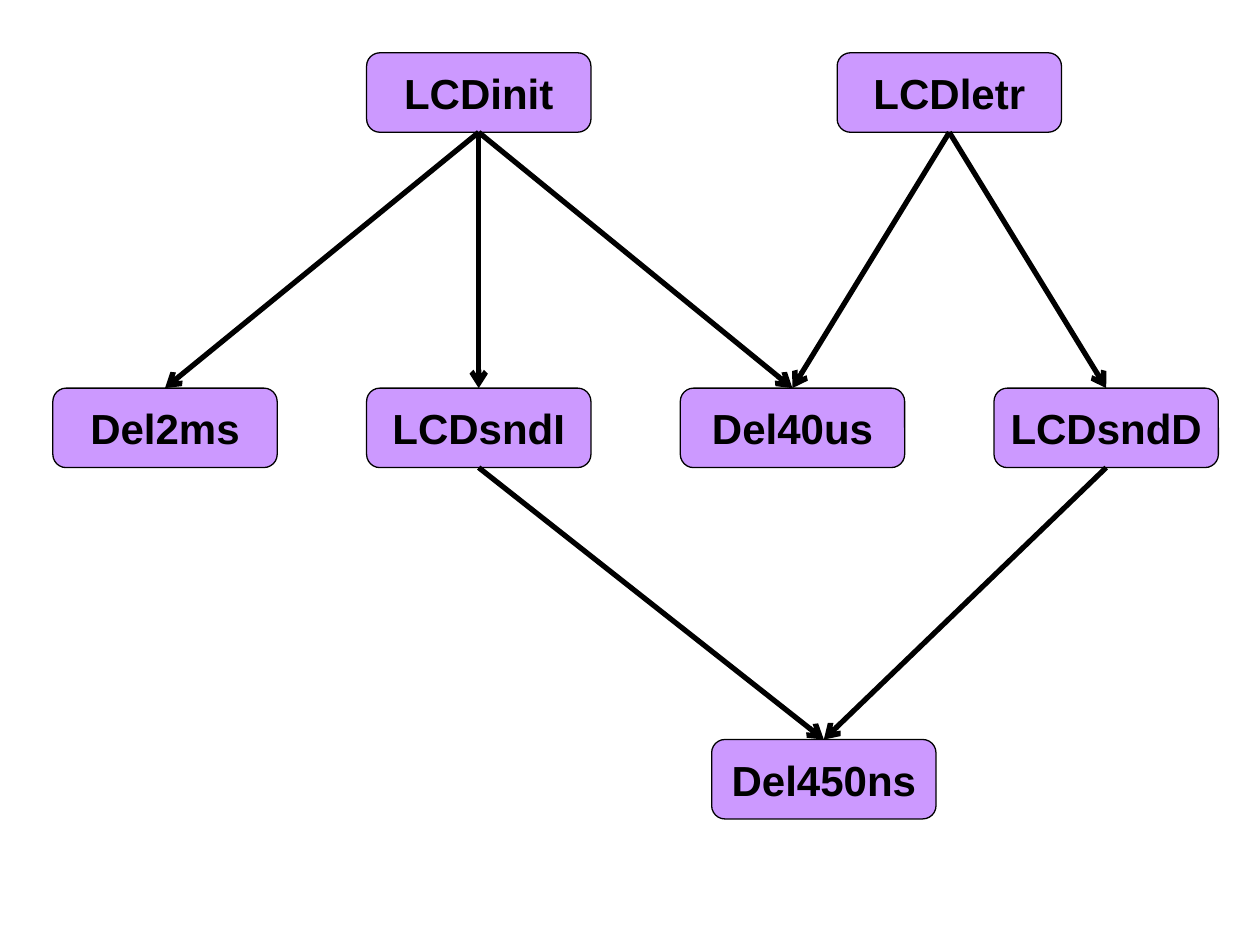
from pptx import Presentation
from pptx.dml.color import RGBColor
from pptx.enum.shapes import MSO_CONNECTOR as Link, MSO_SHAPE as Shape
from pptx.enum.text import MSO_ANCHOR as Anchor, PP_ALIGN as Align
from pptx.oxml.ns import qn
from pptx.util import Pt
from lxml.etree import SubElement

WIDE, HIGH = 128.2, 45.4
TOP, BOTTOM = 0, 2
NODES = {
    "LCDinit": (1, 0),
    "Del2ms": (0, 1),
    "LCDsndI": (1, 1),
    "Del40us": (2, 1),
    "Del450ns": (2.1, 2),
    "LCDletr": (2.5, 0),
    "LCDsndD": (3, 1),
}
CALLS = {
    "LCDinit": ["Del40us", "Del2ms", "LCDsndI"],
    "LCDsndI": ["Del450ns"],
    "LCDsndD": ["Del450ns"],
    "LCDletr": ["LCDsndD", "Del40us"],
}


def color(code):
    return RGBColor.from_string(code)


def write(frame, text, size=24, bold=True, ink="000000", align=Align.CENTER):
    frame.word_wrap = False
    frame.vertical_anchor = Anchor.MIDDLE
    para = frame.paragraphs[0]
    para.alignment = align
    run = para.add_run()
    run.text = text
    font = run.font
    font.name, font.size, font.bold = "Arial", Pt(size), bold
    font.color.rgb = color(ink)


def add_node(slide, name, x, y):
    node = slide.shapes.add_shape(
        Shape.ROUNDED_RECTANGLE, Pt(x), Pt(y), Pt(WIDE), Pt(HIGH))
    node.shadow.inherit = False
    node.fill.solid()
    node.fill.fore_color.rgb = color("CC99FF")
    node.line.color.rgb = color("000000")
    node.line.width = Pt(0.75)
    write(node.text_frame, name)
    return node


def add_arrow(slide, start, end):
    arrow = slide.shapes.add_connector(Link.STRAIGHT, 0, 0, 0, 0)
    arrow.begin_connect(start, BOTTOM)
    arrow.end_connect(end, TOP)
    arrow.line.color.rgb = color("000000")
    arrow.line.width = Pt(3)
    SubElement(arrow.line._get_or_add_ln(), qn("a:tailEnd"), type="arrow")
    SubElement(arrow._element.spPr, qn("a:effectLst"))


def add_graph(slide, x, y, w, h):
    step = (w - WIDE) / 3
    rows = [y, y + 191.6, y + h - HIGH]
    nodes = {name: add_node(slide, name, x + col * step, rows[row])
             for name, (col, row) in NODES.items()}
    for name, goals in CALLS.items():
        for goal in goals:
            add_arrow(slide, nodes[name], nodes[goal])


def main():
    deck = Presentation()
    deck.slide_width, deck.slide_height = Pt(720), Pt(540)
    slide = deck.slides.add_slide(deck.slide_layouts[6])
    add_graph(slide, x=30.2, y=30.2, w=666, h=437.8)
    deck.save("out.pptx")


if __name__ == "__main__":
    main()
